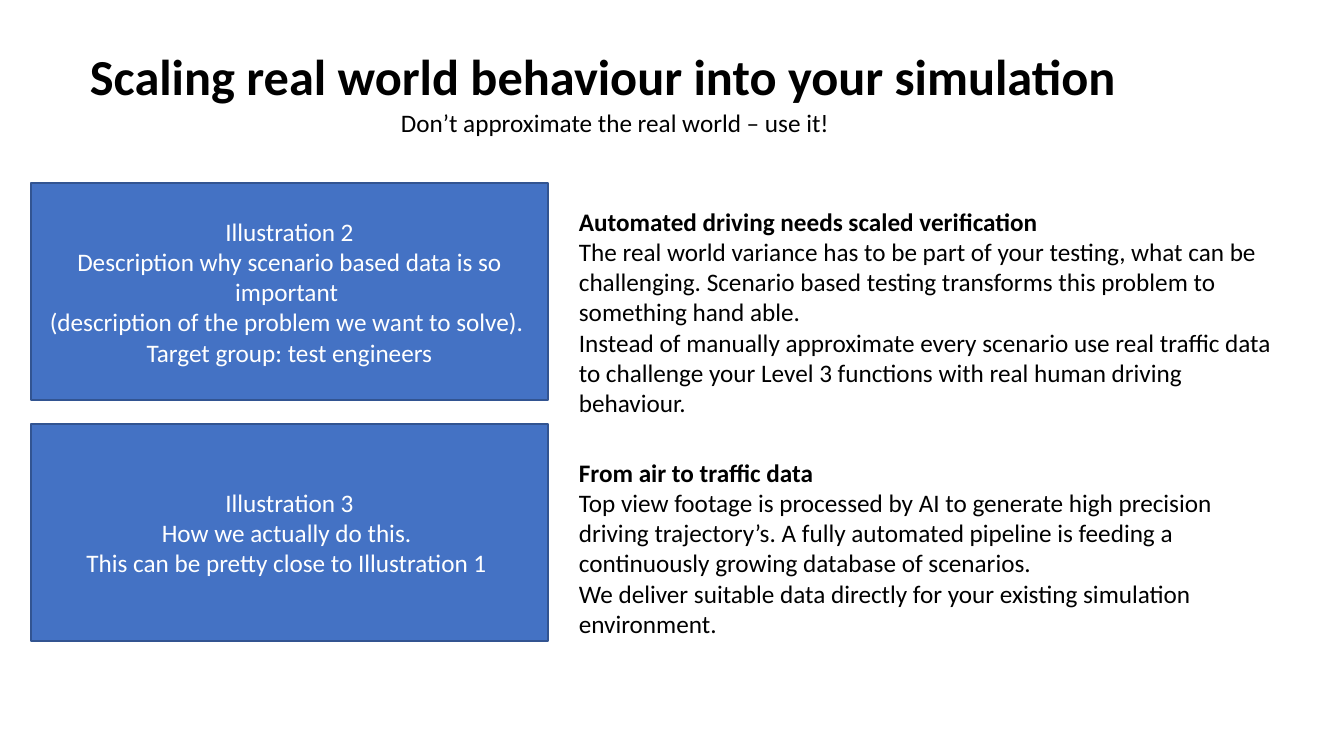
from dataclasses import dataclass

from pptx import Presentation
from pptx.dml.color import RGBColor
from pptx.enum import shapes, text
from pptx import util as u

EMU_PER_PX = 914400 / 100.8


@dataclass(frozen=True)
class Theme:
    font: str = "Calibri"
    ink: str = "000000"
    paper: str = "FFFFFF"
    panel: str = "4472C4"
    panel_edge: str = "325491"
    title_pt: int = 36
    body_pt: int = 18
    edge_pt: int = 1


THEME = Theme()


def px(length):
    return u.Emu(round(length * EMU_PER_PX))


def write(frame, lines, size, color, align, bold_first=False):
    """Fill a text frame, one paragraph per line."""
    for index, line in enumerate(lines):
        paragraph = frame.paragraphs[0] if index == 0 else frame.add_paragraph()
        paragraph.alignment = align
        run = paragraph.add_run()
        run.text = line
        run.font.name = THEME.font
        run.font.size = u.Pt(size)
        run.font.bold = bold_first and index == 0
        run.font.color.rgb = RGBColor.from_string(color)


def add_rectangle(slide, box, fill):
    rectangle = slide.shapes.add_shape(
        shapes.MSO_SHAPE.RECTANGLE, *(px(side) for side in box))
    rectangle.shadow.inherit = False
    rectangle.fill.solid()
    rectangle.fill.fore_color.rgb = RGBColor.from_string(fill)
    rectangle.text_frame.word_wrap = True
    return rectangle


def add_copy(slide, box, lines, size=THEME.body_pt):
    """White block of left-aligned text under a bold first line."""
    block = add_rectangle(slide, box, THEME.paper)
    block.line.fill.background()
    frame = block.text_frame
    frame.vertical_anchor = text.MSO_ANCHOR.TOP
    frame.auto_size = text.MSO_AUTO_SIZE.SHAPE_TO_FIT_TEXT
    write(frame, lines, size, THEME.ink, text.PP_ALIGN.LEFT, bold_first=True)


def add_illustration(slide, box, lines):
    """Blue panel with centred text."""
    panel = add_rectangle(slide, box, THEME.panel)
    panel.line.color.rgb = RGBColor.from_string(THEME.panel_edge)
    panel.line.width = u.Pt(THEME.edge_pt)
    panel.text_frame.vertical_anchor = text.MSO_ANCHOR.MIDDLE
    write(panel.text_frame, lines, THEME.body_pt, THEME.paper,
          text.PP_ALIGN.CENTER)


def add_subtitle(slide, box, line):
    subtitle = slide.shapes.add_textbox(*(px(side) for side in box))
    frame = subtitle.text_frame
    frame.word_wrap = False
    frame.auto_size = text.MSO_AUTO_SIZE.SHAPE_TO_FIT_TEXT
    write(frame, [line], THEME.body_pt, THEME.ink, text.PP_ALIGN.LEFT)


def main():
    deck = Presentation()
    deck.slide_width, deck.slide_height = px(1344), px(756)
    slide = deck.slides.add_slide(deck.slide_layouts[6])

    # Heading
    add_copy(slide, (80, 40, 1184, 72),
             ["Scaling real world behaviour into your simulation"],
             THEME.title_pt)

    # Explanations on the right
    add_copy(slide, (569, 201, 714, 224), [
        "Automated driving needs scaled verification",
        "The real world variance has to be part of your testing, what can be "
        "challenging. Scenario based testing transforms this problem to "
        "something hand able.",
        "Instead of manually approximate every scenario use real traffic data "
        "to challenge your Level 3 functions with real human driving "
        "behaviour.",
    ])
    add_copy(slide, (569, 452, 714, 194), [
        "From air to traffic data",
        "Top view footage is processed by AI to generate high precision "
        "driving trajectory’s. A fully automated pipeline is feeding a "
        "continuously growing database of scenarios.",
        "We deliver suitable data directly for your existing simulation "
        "environment.",
    ])

    add_subtitle(slide, (391, 102, 454, 40),
                 "Don’t approximate the real world – use it!")

    # Illustration panels on the left
    illustrations = [
        ["Illustration 2",
         "Description why scenario based data is so important ",
         "(description of the problem we want to solve). ",
         "Target group: test engineers"],
        ["Illustration 3",
         "How we actually do this. ",
         "This can be pretty close to Illustration 1 "],
    ]
    for row, lines in enumerate(illustrations):
        add_illustration(slide, (31, 183 + row * 241, 517, 217), lines)

    deck.save("out.pptx")


if __name__ == "__main__":
    main()
